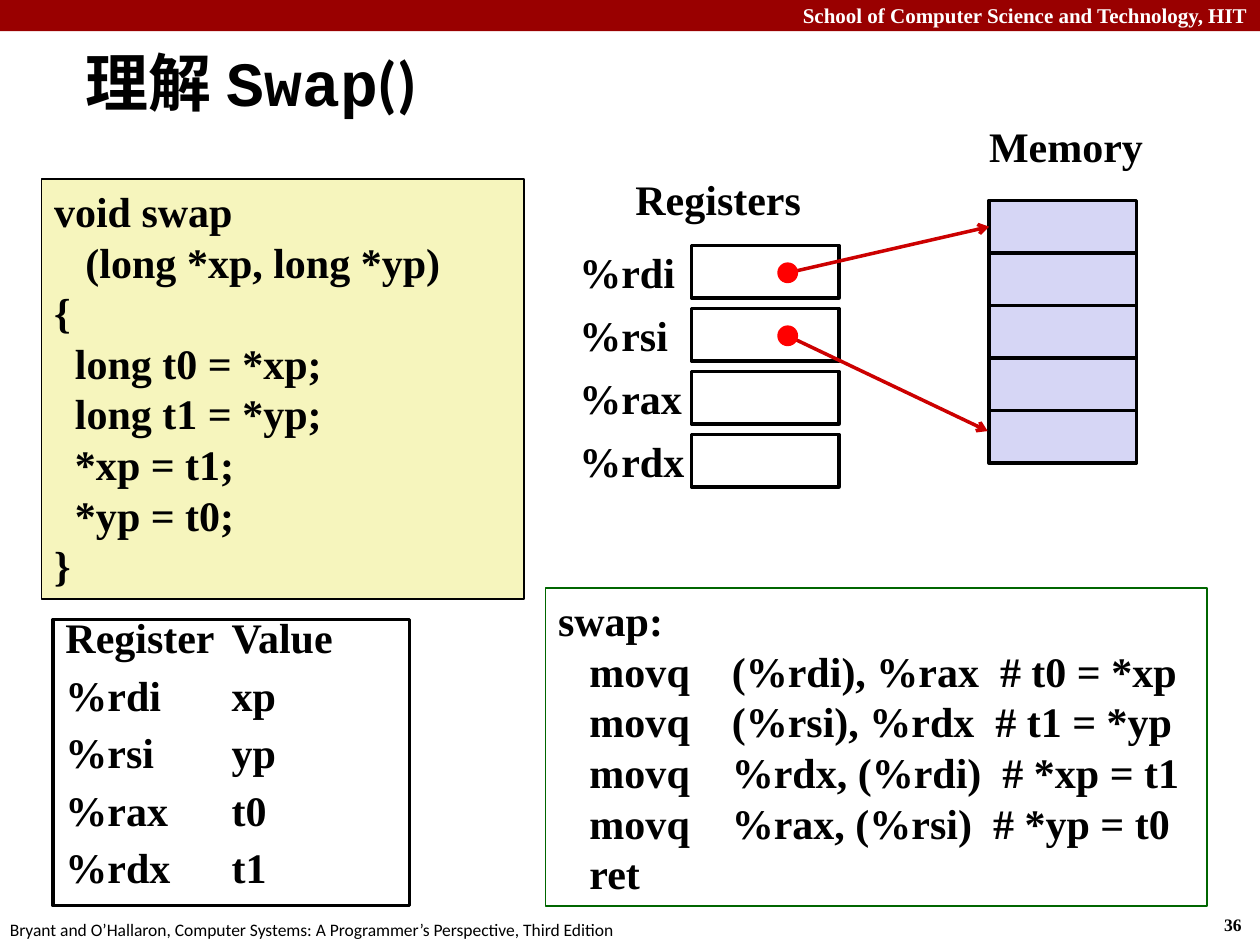
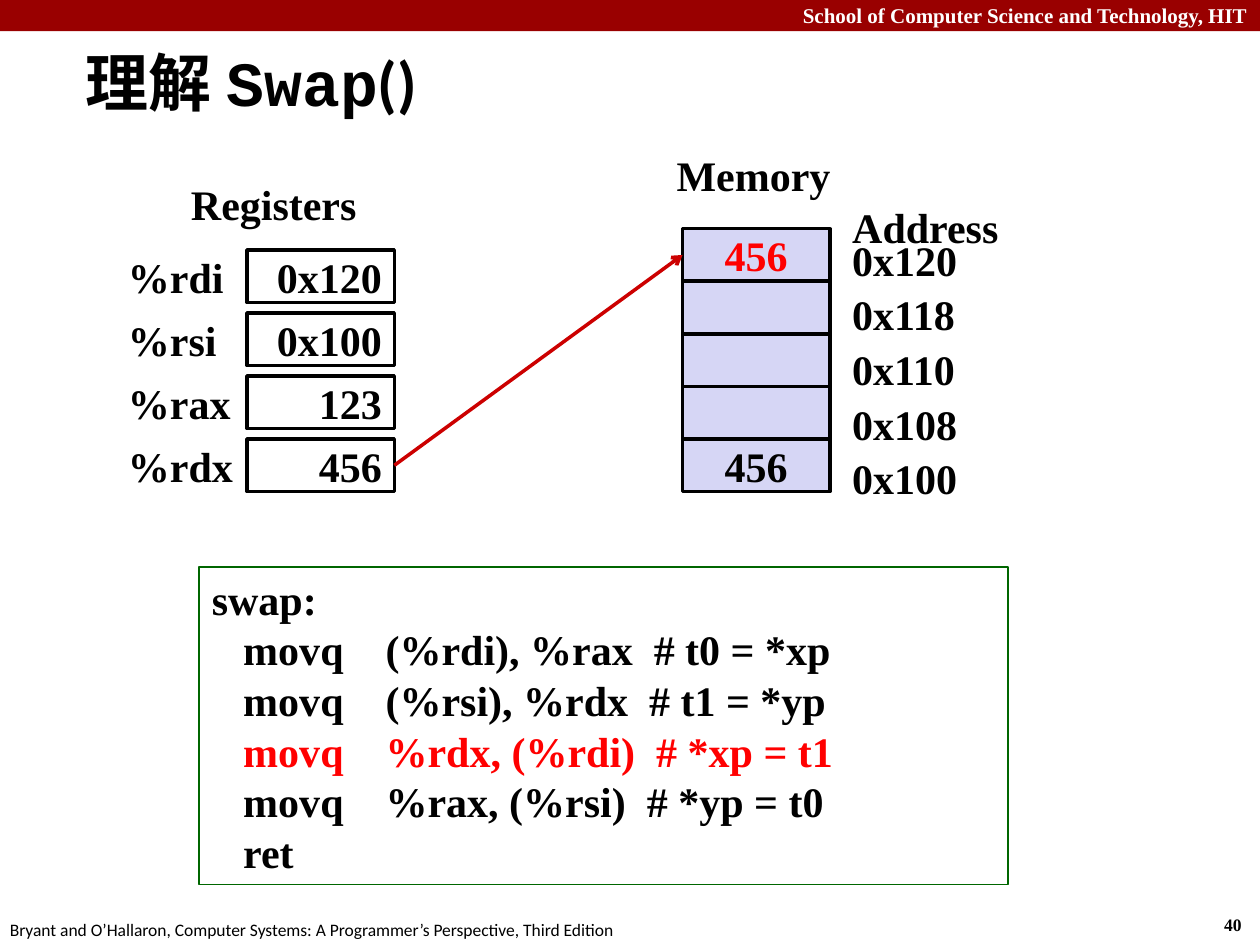
import lxml.etree
import pptx
import pptx.dml.color
import pptx.enum.shapes
import pptx.enum.text
import pptx.oxml.ns
import pptx.util
from dataclasses import dataclass

Cm = pptx.util.Cm
Pt = pptx.util.Pt
KIND = pptx.enum.shapes.MSO_SHAPE
ALIGN = pptx.enum.text.PP_ALIGN
ANCHOR = pptx.enum.text.MSO_ANCHOR
qn = pptx.oxml.ns.qn


@dataclass(frozen=True)
class Theme:
    black: str = "000000"
    white: str = "FFFFFF"
    band: str = "990000"
    cream: str = "F6F5BD"
    cell: str = "D6D6F5"
    green: str = "006600"
    arrow: str = "CC0000"
    red: str = "FF0000"
    serif: str = "Times New Roman"
    sans: str = "Calibri"
    mono: str = "Courier New"
    head: int = 36
    main: int = 24
    band_size: int = 12
    foot: int = 10


T = Theme()
CELL_W, CELL_H = 2.97, 1.06
REG_STEP = 1.27
ADDR_STEP = 1.1
REG_NAMES = ["%rdi", "%rsi", "%rax", "%rdx"]
SWAP_C = [
    "void swap",
    "   (long *xp, long *yp)",
    "{",
    "  long t0 = *xp;",
    "  long t1 = *yp;",
    "  *xp = t1;",
    "  *yp = t0;",
    "}",
]
SWAP_ASM = [
    "swap:",
    "   movq    (%rdi), %rax  # t0 = *xp",
    "   movq    (%rsi), %rdx  # t1 = *yp",
    "   movq    %rdx, (%rdi)  # *xp = t1",
    "   movq    %rax, (%rsi)  # *yp = t0",
    "   ret",
]


def tint(name):
    return pptx.dml.color.RGBColor.from_string(name)


def apply(thing, style):
    for name, value in style.items():
        setattr(thing, name, value)


def style_run(run, color=T.black, size=T.main, face=T.serif, bold=True):
    apply(run.font, {"name": face, "size": Pt(size), "bold": bold})
    run.font.color.rgb = tint(color)


def add_tab(para, stop):
    tabs = lxml.etree.SubElement(para._p.get_or_add_pPr(), qn("a:tabLst"))
    lxml.etree.SubElement(tabs, qn("a:tab"), pos=str(Cm(stop)), algn="l")


def write(shape, lines, align=ALIGN.LEFT, anchor=ANCHOR.TOP, wrap=False,
          pitch=None, before=0, stop=None, hot=None, **font):
    frame = shape.text_frame
    apply(frame, {"word_wrap": wrap, "vertical_anchor": anchor})
    for row, line in enumerate(lines):
        para = frame.add_paragraph() if row else frame.paragraphs[0]
        if stop:
            add_tab(para, stop)
        apply(para, {"alignment": align, "line_spacing": pitch})
        if row and before:
            para.space_before = Pt(before)
        run = para.add_run()
        run.text = line
        style_run(run, **(font | {"color": T.red} if row == hot else font))


def add_text(slide, box, text, **style):
    write(slide.shapes.add_textbox(*map(Cm, box)), [text], **style)


def add_box(slide, box, fill=None, line=None, weight=2, kind=KIND.RECTANGLE):
    shape = slide.shapes.add_shape(kind, *map(Cm, box))
    shape.shadow.inherit = False
    if fill:
        shape.fill.solid()
        shape.fill.fore_color.rgb = tint(fill)
    else:
        shape.fill.background()
    if line:
        shape.line.color.rgb = tint(line)
        shape.line.width = Pt(weight)
    else:
        shape.line.fill.background()
    return shape


def add_arrow(slide, start, end):
    link = slide.shapes.add_connector(
        pptx.enum.shapes.MSO_CONNECTOR.STRAIGHT, *map(Cm, start + end))
    link.line.color.rgb = tint(T.arrow)
    link.line.width = Pt(2)
    lxml.etree.SubElement(link.line._get_or_add_ln(), qn("a:tailEnd"), type="arrow")
    lxml.etree.SubElement(link._element.spPr, qn("a:effectLst"))
    return link


def add_cell(slide, left, top, text, fill, align, color=T.black):
    cell = add_box(slide, (left, top, CELL_W, CELL_H), fill, T.black)
    if text:
        write(cell, [text], align, ANCHOR.MIDDLE, color=color)
    return cell


def add_code(slide, box, lines, fill=None, line=T.green, hot=None):
    write(add_box(slide, box, fill, line, 1), lines, wrap=True,
          pitch=Pt(28.9), hot=hot)


def add_regs(slide, left, top, width, values):
    label_w = width - CELL_W
    edge = left + label_w
    add_text(slide, (edge - 1.38, top - 1.57, 3.89, 1.27), "Registers")
    cells = []
    for row, (name, value) in enumerate(zip(REG_NAMES, values)):
        y = top + row * REG_STEP
        label = add_box(slide, (left, y, label_w, CELL_H), T.white)
        write(label, [name], anchor=ANCHOR.MIDDLE)
        cells.append(add_cell(slide, edge, y, value, T.white, ALIGN.RIGHT))
    return cells


def add_memory(slide, left, top, values, inset, hot=None):
    add_text(slide, (left - inset, top - 1.73, 3.63, 1.27), "Memory")
    return [
        add_cell(slide, left, top + row * CELL_H, value, T.cell, ALIGN.CENTER,
                 T.red if row == hot else T.black)
        for row, value in enumerate(values)
    ]


def add_addrs(slide, left, top, names):
    add_text(slide, (left, top, 4.65, 2.31), "Address")
    for row, name in enumerate(names):
        add_text(slide, (left, top + 0.66 + row * ADDR_STEP, 4.65, 1.27), name)


def add_values(slide, box):
    rows = ["Register\tValue"] + [
        f"{name}\t{value}"
        for name, value in zip(REG_NAMES, ["xp", "yp", "t0", "t1"])
    ]
    write(add_box(slide, box, line=T.black), rows, wrap=True,
          pitch=0.7, before=12.7, stop=3.35)


def add_dots(slide, left, top, ends):
    side = 0.42
    for row, end in enumerate(ends):
        y = top + row * REG_STEP
        hub = (left + side / 2, y + side / 2)
        if isinstance(end, tuple):
            add_arrow(slide, hub, end)
        else:
            add_arrow(slide, hub, hub).end_connect(end, 1)
        add_box(slide, (left, y, side, side), T.red, kind=KIND.OVAL)


def start_slide(deck, number):
    slide = deck.slides.add_slide(deck.slide_layouts[5])
    add_box(slide, (0, 0, 25.4, 0.63), T.band)
    add_text(slide, (0, -0.08, 25.4, 0.76),
             "School of Computer Science and Technology, HIT",
             align=ALIGN.RIGHT, wrap=True, color=T.white, size=T.band_size)
    add_text(slide, (24.43, 18.31, 0.94, 0.69), number, size=T.foot)
    add_text(slide, (-0.05, 18.41, 12.9, 0.69),
             "Bryant and O’Hallaron, Computer Systems: "
             "A Programmer’s Perspective, Third Edition",
             size=T.foot, face=T.sans, bold=False)
    title = slide.shapes.title
    apply(title, {"left": Cm(1.47), "top": Cm(0.84),
                  "width": Cm(17.7), "height": Cm(1.6)})
    apply(title.text_frame, {"vertical_anchor": ANCHOR.MIDDLE,
                             "auto_size": pptx.enum.text.MSO_AUTO_SIZE.NONE})
    para = title.text_frame.paragraphs[0]
    para.alignment = ALIGN.LEFT
    for text, face in [("理解", T.sans), ("Swap", T.mono), ("()", T.sans)]:
        run = para.add_run()
        run.text = text
        style_run(run, size=T.head, face=face)
    return slide


def code_slide(deck):
    slide = start_slide(deck, "36")
    add_regs(slide, 11.43, 4.95, 5.48, [""] * 4)
    add_code(slide, (0.84, 3.61, 9.73, 8.46), SWAP_C, T.cream, T.black)
    add_values(slide, (1.07, 12.49, 7.19, 5.77))
    add_code(slide, (11, 11.86, 13.33, 6.4), SWAP_ASM)
    cells = add_memory(slide, 19.94, 4.04, [""] * 5, 0.25)
    add_dots(slide, 15.67, 5.29, [cells[0], (19.91, 8.69)])


def step_slide(deck):
    slide = start_slide(deck, "40")
    cells = add_memory(slide, 13.76, 4.61, ["456", "", "", "", "456"], 0.37, hot=0)
    regs = add_regs(slide, 2.33, 5.04, 5.62, ["0x120", "0x100", "123", "456"])
    link = add_arrow(slide, (0, 0), (1, 1))
    link.begin_connect(regs[3], 3)
    link.end_connect(cells[0], 1)
    add_code(slide, (4.02, 11.43, 16.3, 6.4), SWAP_ASM, hot=3)
    add_addrs(slide, 16.93, 3.94, ["0x120", "0x118", "0x110", "0x108", "0x100"])


def main():
    deck = pptx.Presentation()
    apply(deck, {"slide_width": Cm(25.4), "slide_height": Cm(19.05)})
    code_slide(deck)
    step_slide(deck)
    deck.save("out.pptx")


if __name__ == "__main__":
    main()
